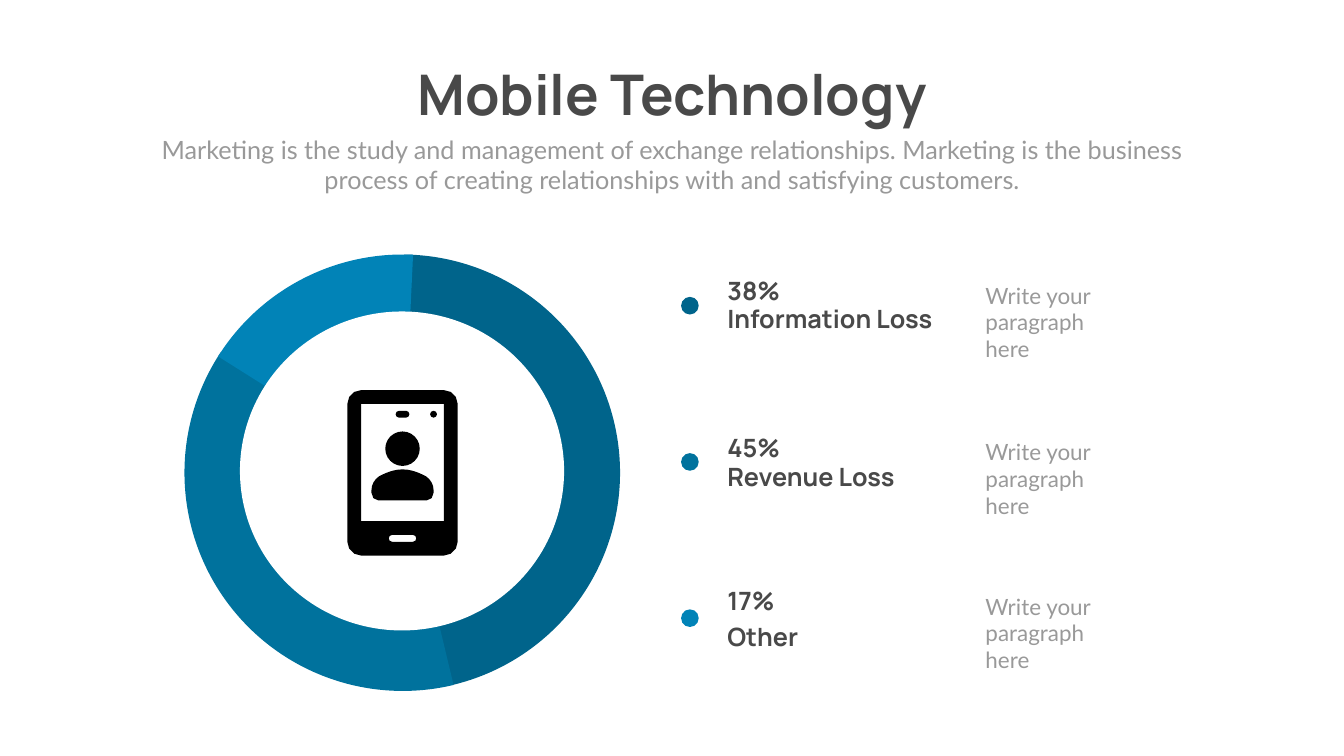
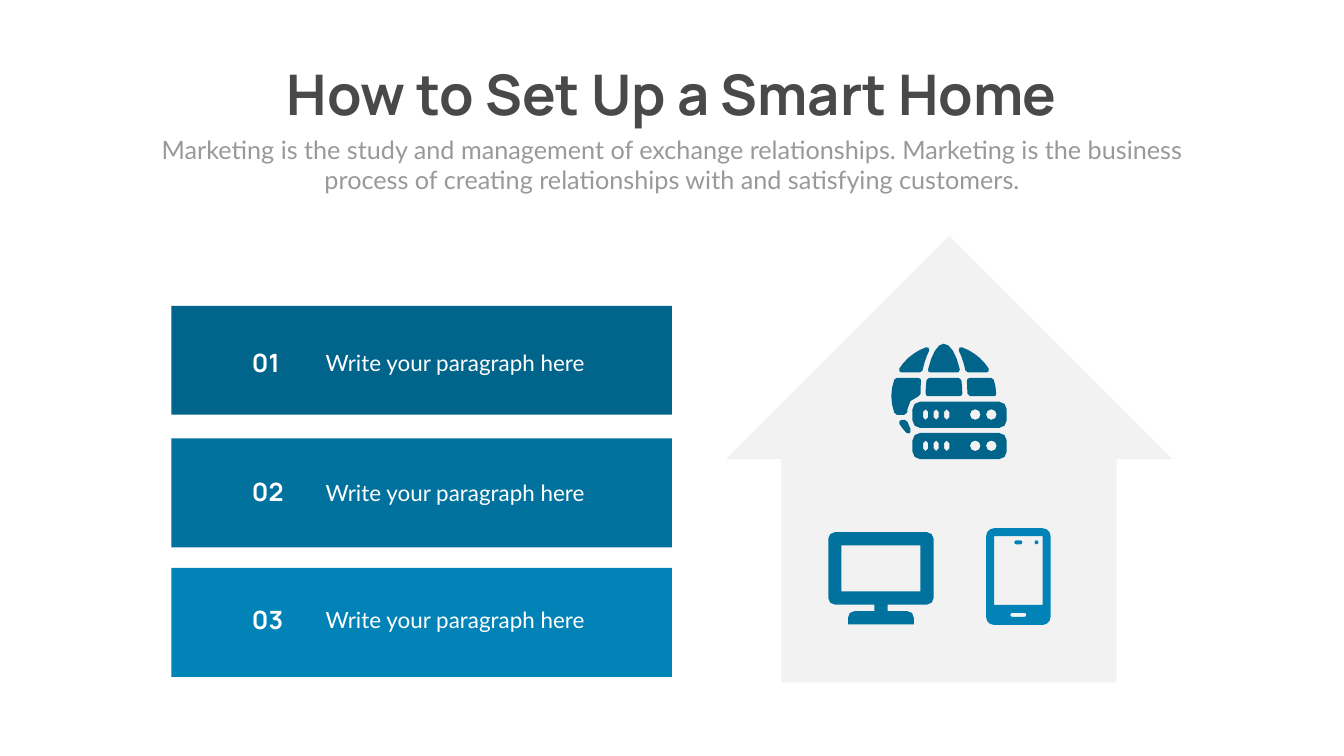
import math

import pptx
import pptx.dml.color
import pptx.enum.shapes
import pptx.enum.text
import pptx.util

PX = 9144
SHAPE = pptx.enum.shapes.MSO_SHAPE
ALIGN = pptx.enum.text.PP_ALIGN
COLORS = {"title": "494949", "body": "999999", "white": "FFFFFF", "icon": "000000",
          "house": "F2F2F2", "dark": "00648B", "middle": "00729D", "light": "0183B7"}
SHADES = ["dark", "middle", "light"]
HEADING = {"font": "Manrope", "bold": True}
SUBTITLE = ("Marketing is the study and management of exchange relationships. "
            "Marketing is the business process of creating relationships with "
            "and satisfying customers.")
PROMPT = "Write your paragraph here"

SHOULDERS = [(4.5, 16), (11.5, 16), (12.1, 16, 12.5, 15.5, 12.5, 14.9), (12.5, 14.5),
             (12.5, 13.7, 12.1, 13, 11.4, 12.5), (10.6, 12.1, 9.4, 11.5, 8, 11.5),
             (6.6, 11.5, 5.4, 12.1, 4.6, 12.5), (3.9, 13, 3.5, 13.7, 3.5, 14.5),
             (3.5, 14.9), (3.5, 15.5, 3.9, 16, 4.5, 16)]
STAND = [(3, 14), (3, 13), (3, 12.4, 3.4, 12, 4, 12), (12, 12),
         (12.6, 12, 13, 12.4, 13, 13), (13, 14)]
HOUSE = [(886, 443), (443, 0), (0, 443), (110, 443), (110, 886), (775, 886), (775, 443)]
GLOBE_TOP = [(74, 56), (78, 57), (130, 57), (134, 56), (136, 51),
             (129, 20, 117, 0, 104, 0), (92, 0, 80, 20, 73, 51)]
GLOBE_SIDE = [(20, 57), (57, 57), (62, 53), (65, 38, 70, 24, 75, 14), (74, 8), (69, 7),
              (47, 15, 28, 30, 16, 49), (16, 55)]
GLOBE_RIGHT = [(151, 70), (150, 74), (150, 81, 151, 90, 151, 99), (156, 104), (203, 104),
               (207, 103), (208, 99), (208, 89, 206, 80, 203, 71), (198, 68), (155, 68)]
GLOBE_CENTER = [(134, 68), (75, 68), (70, 72), (69, 80, 68, 89, 68, 99), (70, 103),
                (73, 104), (136, 104), (139, 103), (141, 99),
                (141, 89, 140, 80, 139, 72)]
GLOBE_LEFT = [(32, 136), (32, 130), (32, 118, 41, 107, 53, 105), (58, 100),
              (58, 90, 58, 82, 59, 74), (58, 70), (54, 68), (11, 68), (6, 71),
              (2, 82, 0, 93, 0, 104), (0, 115, 2, 126, 6, 137), (11, 141), (26, 141)]
GLOBE_BOTTOM = [(32, 155), (27, 151), (20, 151), (16, 154), (16, 159),
                (20, 165, 24, 171, 30, 177), (34, 178), (38, 176), (38, 169)]


def rgb(name):
    """Return the named colour."""
    return pptx.dml.color.RGBColor.from_string(COLORS[name])


def paint(shape, color):
    """Give a shape a flat fill with no line or shadow."""
    shape.shadow.inherit = False
    shape.fill.solid()
    shape.fill.fore_color.rgb = rgb(color)
    shape.line.fill.background()
    return shape


def add_preset(parent, kind, box, color):
    """Add a flat preset shape in a px box."""
    return paint(parent.shapes.add_shape(kind, *[value * PX for value in box]), color)


def add_text(slide, text, box, *, size, font="Lato", color="body", bold=False,
             align=ALIGN.LEFT, wrap=True):
    """Add a one-paragraph text box in a px box."""
    frame = slide.shapes.add_textbox(*[value * PX for value in box]).text_frame
    frame.word_wrap = wrap
    frame.auto_size = pptx.enum.text.MSO_AUTO_SIZE.SHAPE_TO_FIT_TEXT
    paragraph = frame.paragraphs[0]
    paragraph.alignment = align
    run = paragraph.add_run()
    run.text = text
    run.font.name = font
    run.font.size = pptx.util.Pt(size)
    run.font.bold = bold
    run.font.color.rgb = rgb(color)


def flatten(outline, stride):
    """Turn line points and Bézier curves into points about a stride apart."""
    points = []
    for part in outline:
        if len(part) == 2:
            points.append(part)
            continue
        x, y = points[-1]
        steps = max(1, round(math.dist((x, y), part[4:]) / stride))
        for step in range(1, steps + 1):
            t = step / steps
            weights = [(1 - t) ** 3, 3 * t * (1 - t) ** 2, 3 * t * t * (1 - t), t ** 3]
            points.append((sum(w * v for w, v in zip(weights, (x, *part[0::2]))),
                           sum(w * v for w, v in zip(weights, (y, *part[1::2])))))
    return points


def rounded(left, top, width, height, radius=0, steps=2):
    """Return the points of a rectangle with round corners."""
    if not radius:
        return [(left, top), (left + width, top),
                (left + width, top + height), (left, top + height)]
    right, bottom = left + width - radius, top + height - radius
    centers = [(right, bottom), (left + radius, bottom),
               (left + radius, top + radius), (right, top + radius)]
    points = []
    for quarter, (x, y) in enumerate(centers):
        for step in range(steps + 1):
            angle = math.pi / 2 * (quarter + step / steps)
            points.append((x + radius * math.cos(angle), y + radius * math.sin(angle)))
    return points


def add_outline(slide, origin, unit, color, *contours):
    """Add one freeform; inner contours become holes."""
    builder = None
    for contour in contours:
        points = [((origin[0] + x * unit) * PX, (origin[1] + y * unit) * PX)
                  for x, y in contour]
        if builder is None:
            builder = slide.shapes.build_freeform(*points[0], scale=1.0)
        else:
            builder.move_to(*points[0])
        builder.add_line_segments(points[1:], close=True)
    paint(builder.convert_to_shape(), color)


def add_phone(slide, origin, unit, color):
    """Draw a phone on a grid of 16 by 24 units."""
    add_outline(slide, origin, unit, color, rounded(7, 3, 2, 1, 0.5))
    add_outline(slide, origin, unit, color, rounded(0, 0, 16, 24, 2, steps=3),
                rounded(6, 21, 4, 1, 0.5), rounded(2, 2, 12, 17))
    add_outline(slide, origin, unit, color, rounded(12, 3, 1, 1, 0.5))


def add_person(slide, origin, unit, color):
    """Draw a person on the grid of the phone screen."""
    add_outline(slide, origin, unit, color, rounded(5.5, 6, 5, 5, 2.5, steps=6))
    add_outline(slide, origin, unit, color, flatten(SHOULDERS, 0.6))


def add_monitor(slide, origin, unit, color):
    """Draw a desktop monitor on a grid of 16 by 14 units."""
    add_outline(slide, origin, unit, color, rounded(0, 0, 16, 11, 1),
                rounded(2, 2, 12, 7), rounded(7, 11, 2, 1), flatten(STAND, 0.6))


def add_globe_servers(slide, origin, color):
    """Draw a globe behind two stacked servers."""
    left_side = flatten(GLOBE_SIDE, 15)
    right_side = [(209 - x, y) for x, y in left_side]
    panels = [flatten(outline, 15) for outline in
              (GLOBE_TOP, GLOBE_RIGHT, GLOBE_CENTER, GLOBE_LEFT, GLOBE_BOTTOM)]
    for panel in [left_side, right_side, *panels]:
        add_outline(slide, origin, 1, color, panel)
    for top in (115, 177):
        slots = [rounded(63 + 21 * column, top + 15, 10, 21, 5, steps=1)
                 for column in range(3)]
        lamps = [rounded(left, top + 15, 21, 21, 10.5) for left in (156, 188)]
        add_outline(slide, origin, 1, color, rounded(42, top, 187, 52, 15), *slots, *lamps)


def add_header(slide, title, width):
    """Add the centred title and subtitle."""
    add_text(slide, title, ((2666 - width) // 2, 114, width, 145), size=80,
             color="title", align=ALIGN.CENTER, wrap=False, **HEADING)
    add_text(slide, SUBTITLE, (292, 261, 2082, 131), size=36, align=ALIGN.CENTER)


def add_ring(slide, left, top):
    """Draw the three-part ring from pies and white discs."""
    group = slide.shapes.add_group_shape()
    slices = [(0, 270.65, 76.69), (2, 76.54, 213.46), (2, 212.22, 272.71)]
    for (shift, start, end), color in zip(slices, SHADES):
        pie = add_preset(group, SHAPE.PIE, (left + shift, top, 866, 866), color)
        pie.adjustments[0] = start * 0.6
        pie.adjustments[1] = end * 0.6
    add_preset(group, SHAPE.OVAL, (left + 179, top + 175, 517, 517), "white")
    add_preset(slide, SHAPE.OVAL, (left + 112, top + 113, 643, 633), "white")


def add_legend(slide, left, top):
    """List shares with dots, labels and paragraphs."""
    rows = [("38%", "Information Loss", 0, 54, 12),
            ("45%", "Revenue Loss", 0, 58, 12),
            ("17%", "Other", -6, 71, 15)]
    for index, (share, label, shift, label_gap, text_gap) in enumerate(rows):
        row_top = top + 310 * index
        text_top = row_top + shift
        add_preset(slide, SHAPE.OVAL, (left, row_top + 47, 35, 35), SHADES[index])
        add_text(slide, label, (left + 82, text_top + label_gap, 466, 71), size=36,
                 color="title", **HEADING)
        add_text(slide, share, (left + 82, text_top, 351, 71), size=36,
                 color="title", **HEADING)
        add_text(slide, PROMPT, (left + 594, text_top + text_gap, 313, 118), size=32)


def add_steps(slide, left):
    """Stack the three numbered bars."""
    rows = [(607, 77), (870, 71), (1127, 67)]
    for index, (top, inset) in enumerate(rows):
        add_preset(slide, SHAPE.RECTANGLE, (left, top, 993, 216), SHADES[index])
        add_text(slide, PROMPT, (left + 296, top + inset + 4, 536, 64), size=32,
                 color="white")
        add_text(slide, f"{index + 1:02}", (left + 150, top + inset, 113, 71), size=36,
                 color="white", **HEADING)


def add_house(slide, left, top):
    """Draw the house with its three devices."""
    add_outline(slide, (left, top), 1, "house", HOUSE)
    add_globe_servers(slide, (left + 328, top + 214), "dark")
    add_monitor(slide, (left + 203, top + 588), 13.06, "middle")
    add_phone(slide, (left + 516, top + 580), 8, "light")


def build_mobile_slide(slide):
    """Build the ring chart slide."""
    add_header(slide, "Mobile Technology", 1106)
    add_ring(slide, 364, 505)
    add_legend(slide, 1351, 542)
    add_person(slide, (689, 774), 13.68, "icon")
    add_phone(slide, (689, 774), 13.68, "icon")


def build_home_slide(slide):
    """Build the smart home slide."""
    add_header(slide, "How to Set Up a Smart Home", 1638)
    add_house(slide, 1440, 468)
    add_steps(slide, 340)


def main():
    """Build and save the presentation."""
    presentation = pptx.Presentation()
    presentation.slide_width = 2666 * PX
    presentation.slide_height = 1500 * PX
    for build in (build_mobile_slide, build_home_slide):
        build(presentation.slides.add_slide(presentation.slide_layouts[6]))
    presentation.save("out.pptx")


if __name__ == "__main__":
    main()
